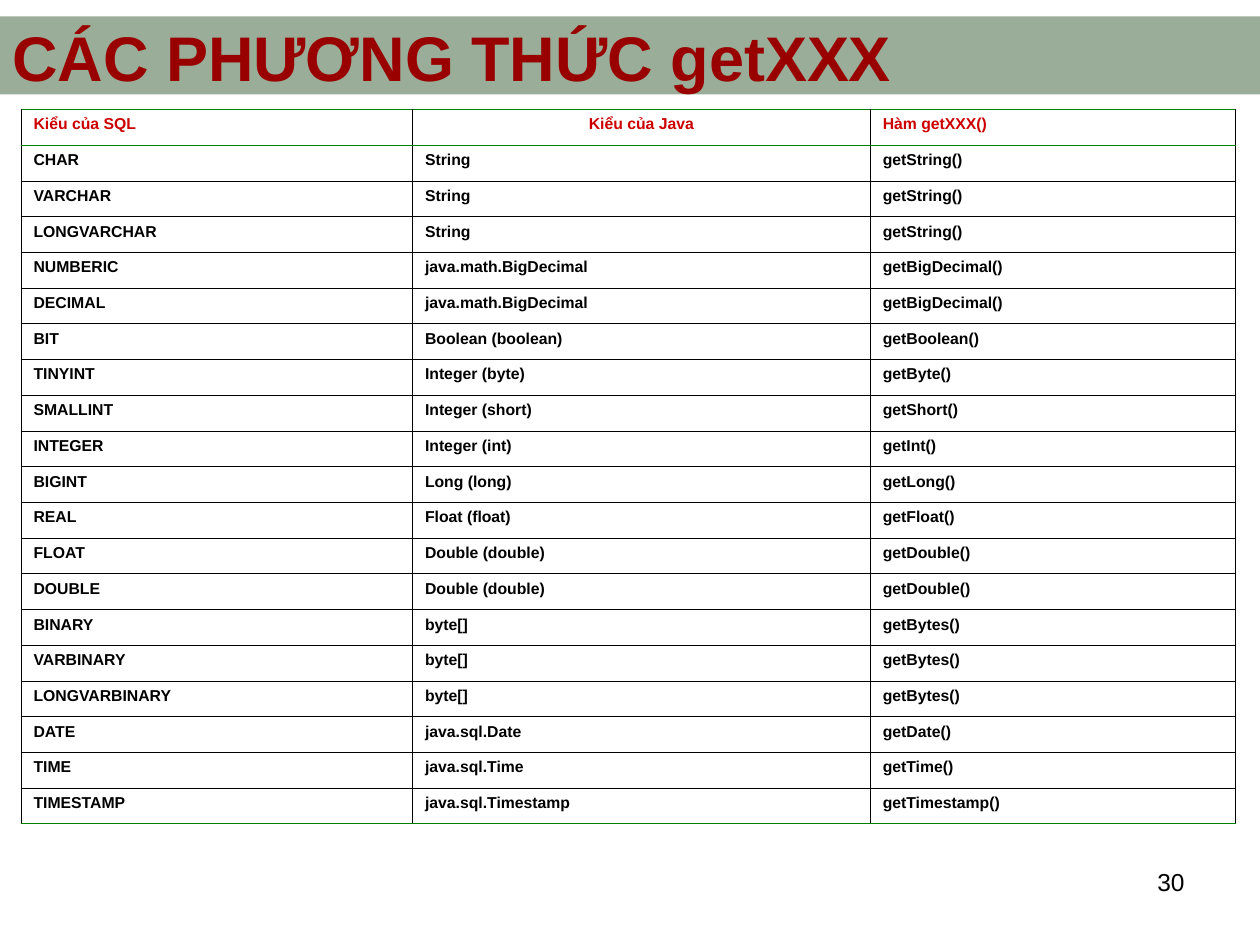
from dataclasses import dataclass

from lxml.etree import SubElement
from pptx import Presentation
from pptx.dml.color import RGBColor as Rgb
from pptx.enum.shapes import MSO_SHAPE as Preset
from pptx.enum.text import MSO_ANCHOR as Anchor, PP_ALIGN as Align
from pptx.oxml.ns import qn
from pptx.util import Pt


@dataclass(frozen=True)
class Theme:
    font: str = "Arial"
    band: str = "003300"
    band_alpha: int = 40
    title: str = "990000"
    header: str = "CC0000"
    text: str = "000000"
    grid: str = "000000"
    accent: str = "008000"
    title_size: float = 36
    number_size: float = 14
    cell_size: float = 9
    grid_width: float = 0.34
    header_rule: float = 0.45
    outer_rule: float = 0.96


THEME = Theme()
SLIDE_WIDTH, SLIDE_HEIGHT = 720, 540
COLUMN_WIDTHS = (223.7, 261.6, 208.8)
ROW_HEIGHT = 20.42
HANGING = 27

HEADINGS = ("Kiểu của SQL", "Kiểu của Java", "Hàm getXXX()")
MAPPINGS = (
    ("CHAR", "String", "getString()"),
    ("VARCHAR", "String", "getString()"),
    ("LONGVARCHAR", "String", "getString()"),
    ("NUMBERIC", "java.math.BigDecimal", "getBigDecimal()"),
    ("DECIMAL", "java.math.BigDecimal", "getBigDecimal()"),
    ("BIT", "Boolean (boolean)", "getBoolean()"),
    ("TINYINT", "Integer (byte)", "getByte()"),
    ("SMALLINT", "Integer (short)", "getShort()"),
    ("INTEGER", "Integer (int)", "getInt()"),
    ("BIGINT", "Long (long)", "getLong()"),
    ("REAL", "Float (float)", "getFloat()"),
    ("FLOAT", "Double (double)", "getDouble()"),
    ("DOUBLE", "Double (double)", "getDouble()"),
    ("BINARY", "byte[]", "getBytes()"),
    ("VARBINARY", "byte[]", "getBytes()"),
    ("LONGVARBINARY", "byte[]", "getBytes()"),
    ("DATE", "java.sql.Date", "getDate()"),
    ("TIME", "java.sql.Time", "getTime()"),
    ("TIMESTAMP", "java.sql.Timestamp", "getTimestamp()"),
)


def write(paragraph, text, size, color, bold=False, align=Align.LEFT):
    paragraph.alignment = align
    run = paragraph.add_run()
    run.text = text
    run.font.name = THEME.font
    run.font.size = Pt(size)
    run.font.bold = bold
    run.font.color.rgb = Rgb.from_string(color)


def add_band(slide, left, top, width, height):
    band = slide.shapes.add_shape(
        Preset.RECTANGLE, Pt(left), Pt(top), Pt(width), Pt(height))
    band.shadow.inherit = False
    band.line.fill.background()
    band.fill.solid()
    band.fill.fore_color.rgb = Rgb.from_string(THEME.band)
    color = band.fill._xPr.find(qn("a:solidFill"))[0]
    SubElement(color, qn("a:alpha"), val=str(THEME.band_alpha * 1000))


def add_label(slide, left, top, width, height, text, size, color,
              anchor=Anchor.TOP, **style):
    frame = slide.shapes.add_textbox(
        Pt(left), Pt(top), Pt(width), Pt(height)).text_frame
    frame.word_wrap = True
    frame.vertical_anchor = anchor
    write(frame.paragraphs[0], text, size, color, **style)


def set_border(cell, side, color, width):
    line = SubElement(cell._tc.get_or_add_tcPr(), qn(f"a:ln{side}"),
                      w=str(Pt(width)))
    fill = SubElement(line, qn("a:solidFill"))
    SubElement(fill, qn("a:srgbClr"), val=color)


def row_rules(row, last):
    """Top and bottom border of a row, as (color, width) pairs."""
    inner = (THEME.grid, THEME.grid_width)
    outer = (THEME.accent, THEME.outer_rule)
    under_header = (THEME.accent, THEME.header_rule)
    top = {0: outer, 1: under_header}.get(row, inner)
    bottom = {0: under_header, last: outer}.get(row, inner)
    return top, bottom


def fill_cell(cell, text, color, align, rules):
    paragraph = cell.text_frame.paragraphs[0]
    write(paragraph, text, THEME.cell_size, color, bold=True, align=align)
    properties = paragraph._p.get_or_add_pPr()
    properties.set("marL", str(Pt(HANGING)))
    properties.set("indent", str(-Pt(HANGING)))
    for side in "LR":
        set_border(cell, side, THEME.grid, THEME.grid_width)
    for side, rule in zip("TB", rules):
        set_border(cell, side, *rule)
    cell.fill.background()


def add_mapping_table(slide, left, top):
    rows = (HEADINGS, *MAPPINGS)
    table = slide.shapes.add_table(
        len(rows), len(COLUMN_WIDTHS), Pt(left), Pt(top),
        Pt(sum(COLUMN_WIDTHS)), Pt(ROW_HEIGHT * len(rows))).table
    table.first_row = table.horz_banding = False
    for column, width in zip(table.columns, COLUMN_WIDTHS):
        column.width = Pt(width)
    for r, texts in enumerate(rows):
        table.rows[r].height = Pt(ROW_HEIGHT)
        color = THEME.text if r else THEME.header
        rules = row_rules(r, len(rows) - 1)
        for c, text in enumerate(texts):
            centered = r == 0 and c == 1
            align = Align.CENTER if centered else Align.JUSTIFY
            fill_cell(table.cell(r, c), text, color, align, rules)


def main():
    deck = Presentation()
    deck.slide_width, deck.slide_height = Pt(SLIDE_WIDTH), Pt(SLIDE_HEIGHT)
    slide = deck.slides.add_slide(deck.slide_layouts[6])

    # Slide number
    add_label(slide, 516, 492, 168, 37.5, "30",
              THEME.number_size, THEME.text, align=Align.RIGHT)

    # Type mapping between SQL and Java
    add_band(slide, 0, 9.4, SLIDE_WIDTH, 44.6)
    add_mapping_table(slide, 12, 62.5)

    # Title over the band
    add_label(slide, 0, 17.3, SLIDE_WIDTH, 30.2, "CÁC PHƯƠNG THỨC getXXX",
              THEME.title_size, THEME.title, anchor=Anchor.MIDDLE, bold=True)

    deck.save("out.pptx")


if __name__ == "__main__":
    main()
